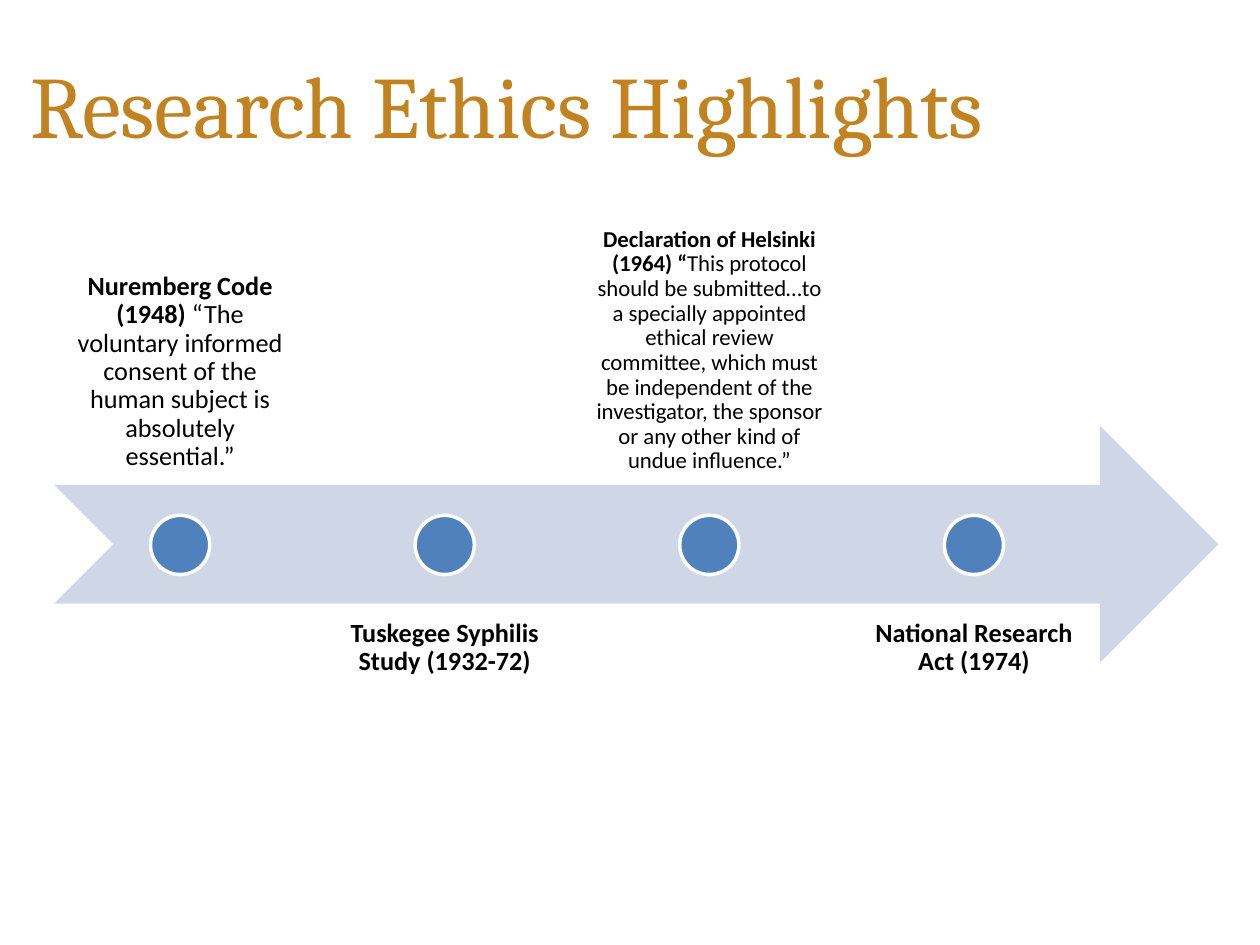
"""Build the Research Ethics Highlights timeline slide."""
import dataclasses

import pptx
import pptx.dml.color
import pptx.enum.shapes
import pptx.enum.text
import pptx.util

Inches = pptx.util.Inches
Anchor = pptx.enum.text.MSO_ANCHOR
Align = pptx.enum.text.PP_ALIGN
Shape = pptx.enum.shapes.MSO_SHAPE


@dataclasses.dataclass(frozen=True)
class Theme:
    title_font: str = "Cambria"
    body_font: str = "Calibri"
    title_color: str = "C28220"
    text_color: str = "000000"
    arrow_color: str = "CFD7E7"
    dot_color: str = "4F81BD"
    outline_color: str = "FFFFFF"
    title_size: float = 50
    body_size: float = 15
    small_size: float = 13
    outline_width: float = 2


@dataclasses.dataclass(frozen=True)
class Area:
    left: float
    top: float
    width: float
    height: float

    def lengths(self) -> list[int]:
        return [Inches(value) for value in dataclasses.astuple(self)]


@dataclasses.dataclass(frozen=True)
class Span:
    text: str
    size: float
    color: str
    font: str
    bold: bool = False


@dataclasses.dataclass(frozen=True)
class Milestone:
    heading: str
    quote: str = ""
    size: float = Theme.body_size
    inset: float = 0.12


THEME = Theme()
TITLE_AREA = Area(0.14, 0.19, 9.24, 1.26)
ARROW_AREA = Area(0.43, 3.38, 9.24, 1.88)
LABEL_WIDTH = 2
LABEL_STEP = 2.1
LABEL_TOPS = (1.98, 4.8)
LABEL_ANCHORS = (Anchor.BOTTOM, Anchor.TOP)
DOT_SIZE = 0.47
DOT_TOP = 4.09
MILESTONES = (
    Milestone(
        "Nuremberg Code (1948) ",
        "“The voluntary informed consent of the human subject is absolutely essential.”",
    ),
    Milestone("Tuskegee Syphilis Study (1932-72)"),
    Milestone(
        "Declaration of Helsinki (1964) “",
        "This protocol should be submitted…to a specially appointed ethical review "
        "committee, which must be independent of the investigator, the sponsor or "
        "any other kind of undue influence.”",
        THEME.small_size,
        0.1,
    ),
    Milestone("National Research Act (1974)"),
)


def rgb(color: str) -> pptx.dml.color.RGBColor:
    return pptx.dml.color.RGBColor.from_string(color)


def set_format(target: object, values: dict[str, object]) -> None:
    for name, value in values.items():
        setattr(target, name, value)


def add_figure(page, kind, area: Area, fill: str, outline: str = ""):
    figure = page.shapes.add_shape(kind, *area.lengths())
    figure.shadow.inherit = False
    figure.fill.solid()
    figure.fill.fore_color.rgb = rgb(fill)
    if outline:
        figure.line.color.rgb = rgb(outline)
        figure.line.width = pptx.util.Pt(THEME.outline_width)
    else:
        figure.line.fill.background()
    return figure


def fill_text(box, spans: list[Span], frame_format: dict, para_format: dict) -> None:
    frame = box.text_frame
    set_format(frame, {"word_wrap": True, **frame_format})
    para = frame.paragraphs[0]
    set_format(para, para_format)
    for span in spans:
        run = para.add_run()
        run.text = span.text
        set_format(run.font, {
            "name": span.font,
            "size": pptx.util.Pt(span.size),
            "bold": span.bold,
        })
        run.font.color.rgb = rgb(span.color)


def add_milestone(page, index: int, milestone: Milestone) -> None:
    side = index % 2
    left = ARROW_AREA.left + index * LABEL_STEP
    area = Area(left, LABEL_TOPS[side], LABEL_WIDTH, ARROW_AREA.height)
    parts = ((milestone.heading, True), (milestone.quote, False))
    spans = [
        Span(text, milestone.size, THEME.text_color, THEME.body_font, bold)
        for text, bold in parts if text
    ]
    margins = {
        f"margin_{edge}": Inches(milestone.inset)
        for edge in ("left", "top", "right", "bottom")
    }
    fill_text(
        page.shapes.add_textbox(*area.lengths()),
        spans,
        {"vertical_anchor": LABEL_ANCHORS[side], **margins},
        {"alignment": Align.CENTER, "line_spacing": 0.9},
    )
    dot_left = left + (LABEL_WIDTH - DOT_SIZE) / 2
    dot_area = Area(dot_left, DOT_TOP, DOT_SIZE, DOT_SIZE)
    add_figure(page, Shape.OVAL, dot_area, THEME.dot_color, THEME.outline_color)


def main() -> None:
    deck = pptx.Presentation()
    set_format(deck, {"slide_width": Inches(10), "slide_height": Inches(7.5)})
    page = deck.slides.add_slide(deck.slide_layouts[6])
    add_figure(page, Shape.NOTCHED_RIGHT_ARROW, ARROW_AREA, THEME.arrow_color)
    for index, milestone in enumerate(MILESTONES):
        add_milestone(page, index, milestone)
    title = Span(
        "Research Ethics Highlights",
        THEME.title_size, THEME.title_color, THEME.title_font,
    )
    fill_text(
        page.shapes.add_textbox(*TITLE_AREA.lengths()),
        [title],
        {"vertical_anchor": Anchor.MIDDLE},
        {"alignment": Align.LEFT},
    )
    deck.save("out.pptx")


if __name__ == "__main__":
    main()
